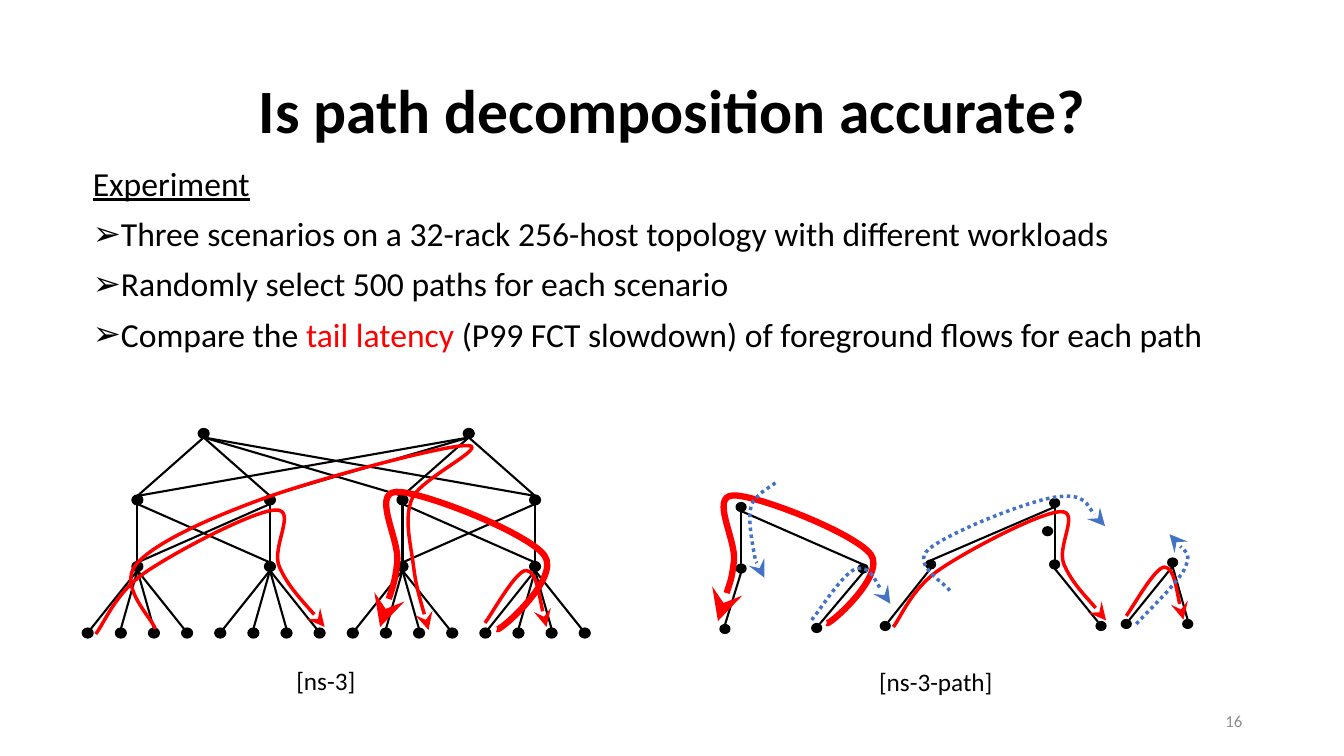
from dataclasses import dataclass

from lxml.etree import SubElement
from pptx import Presentation
from pptx.dml.color import RGBColor
from pptx.enum.dml import MSO_LINE
from pptx.enum.shapes import MSO_CONNECTOR, MSO_SHAPE
from pptx.enum.text import MSO_ANCHOR, MSO_AUTO_SIZE, PP_ALIGN
from pptx.oxml.ns import qn
from pptx.util import Inches, Pt


@dataclass(frozen=True)
class Theme:
    font: str = "Calibri"
    black: RGBColor = RGBColor(0, 0, 0)
    red: RGBColor = RGBColor(255, 0, 0)
    blue: RGBColor = RGBColor(0x44, 0x72, 0xC4)
    gray: RGBColor = RGBColor(0x8C, 0x8C, 0x8C)
    title_size: int = 44
    body_size: int = 24
    caption_size: int = 18
    number_size: int = 12
    link_width: float = 1.5
    flow_width: float = 2.5
    wide_flow_width: float = 4.5


theme = Theme()


def place(shape, left, top, width, height):
    shape.left, shape.top = Inches(left), Inches(top)
    shape.width, shape.height = Inches(width), Inches(height)


def style_run(run, size, color=theme.black):
    run.font.name = theme.font
    run.font.size = Pt(size)
    run.font.color.rgb = color


presentation = Presentation()
presentation.slide_width = Inches(13.33)
presentation.slide_height = Inches(7.5)
slide = presentation.slides.add_slide(presentation.slide_layouts[1])
shapes = slide.shapes

title = shapes.title
place(title, 0.92, 0.4, 11.5, 1.45)
title.text_frame.text = "Is path decomposition accurate?"
title.text_frame.vertical_anchor = MSO_ANCHOR.MIDDLE
title_paragraph = title.text_frame.paragraphs[0]
title_paragraph.alignment = PP_ALIGN.CENTER
title_paragraph.line_spacing = 0.9
style_run(title_paragraph.runs[0], theme.title_size)
title_paragraph.runs[0].font.bold = True

body = slide.placeholders[1]
place(body, 0.82, 1.61, 11.84, 3.03)
body.text_frame.auto_size = MSO_AUTO_SIZE.NONE
body.text_frame.vertical_anchor = MSO_ANCHOR.TOP
highlight = "tail latency "
body_lines = [
    ["Experiment"],
    ["Three scenarios on a 32-rack 256-host topology with different workloads"],
    ["Randomly select 500 paths for each scenario"],
    ["Compare the ", highlight, "(P99 FCT slowdown) of foreground flows for each path"],
]
for row, pieces in enumerate(body_lines):
    is_heading = row == 0
    paragraph = body.text_frame.paragraphs[0] if is_heading else body.text_frame.add_paragraph()
    paragraph.line_spacing = 0.9
    paragraph.space_before = Pt(10)
    for piece in pieces:
        run = paragraph.add_run()
        run.text = piece
        style_run(run, theme.body_size, theme.red if piece == highlight else theme.black)
        run.font.underline = is_heading
    properties = paragraph._p.get_or_add_pPr()
    indent = 0 if is_heading else Inches(0.25)
    properties.set("marL", str(indent))
    properties.set("indent", str(-indent))
    if is_heading:
        SubElement(properties, qn("a:buNone"))
    else:
        SubElement(properties, qn("a:buFont")).set("typeface", theme.font)
        SubElement(properties, qn("a:buChar")).set("char", "➢")

labels = [
    ("[ns-3]", 2.84, 6.55, 0.95, theme.caption_size, theme.black, PP_ALIGN.LEFT),
    ("[ns-3-path]", 8.62, 6.56, 1.37, theme.caption_size, theme.black, PP_ALIGN.LEFT),
    ("16", 9.42, 6.95, 3, theme.number_size, theme.gray, PP_ALIGN.RIGHT),
]
for text, left, top, width, size, color, alignment in labels:
    label = shapes.add_textbox(Inches(left), Inches(top), Inches(width), Inches(0.4))
    label.text_frame.word_wrap = True
    label.text_frame.vertical_anchor = MSO_ANCHOR.MIDDLE
    label.text_frame.text = text
    label.text_frame.paragraphs[0].alignment = alignment
    style_run(label.text_frame.paragraphs[0].runs[0], size, color)

tree_left, host_pitch, hosts_per_rack, racks_per_pod = 0.87, 4.93 / 15, 4, 2
spine_y, aggregate_y, rack_y, host_y = [4.3 + 0.66 * level for level in range(4)]
host_columns = [tree_left + host_pitch * column for column in range(16)]
rack_columns = [tree_left + host_pitch * (hosts_per_rack * rack + 1.5) for rack in range(4)]
spine_columns = [tree_left + host_pitch * column for column in (3.5, 11.5)]
tree_rows = [(spine_y, spine_columns), (aggregate_y, rack_columns),
             (rack_y, rack_columns), (host_y, host_columns)]
nodes = [(x, y, 0.1, 0.09) for y, columns in tree_rows for x in columns]

edge_inset = 0.03
links = []
for rack, rack_x in enumerate(rack_columns):
    pod_start = rack // racks_per_pod * racks_per_pod
    pod_racks = rack_columns[pod_start:pod_start + racks_per_pod]
    rack_hosts = host_columns[hosts_per_rack * rack:hosts_per_rack * (rack + 1)]
    links += [(spine_x, spine_y, rack_x, aggregate_y) for spine_x in spine_columns]
    links += [(rack_x, aggregate_y, peer_x, rack_y) for peer_x in pod_racks]
    links += [(rack_x, rack_y, host_x + inset, host_y)
              for host_x, inset in zip(rack_hosts, (edge_inset, 0, 0, -edge_inset))]

path_nodes = {
    "wide top": (7.35, 5.03), "wide left rack": (7.35, 5.64), "wide left host": (7.19, 6.24),
    "wide right rack": (8.56, 5.64), "wide right host": (8.1, 6.23),
    "pod top": (10.46, 4.99), "pod left rack": (9.23, 5.6), "pod left host": (8.78, 6.21),
    "pod right rack": (10.46, 5.6), "pod right host": (10.92, 6.21), "pod spare": (10.39, 5.27),
    "rack top": (11.63, 5.58), "rack left host": (11.17, 6.19), "rack right host": (11.78, 6.19),
}
path_links = [
    ("wide top", "wide left rack", 0), ("wide left rack", "wide left host", 0),
    ("wide top", "wide right rack", 0), ("wide right rack", "wide right host", edge_inset),
    ("pod top", "pod left rack", 0), ("pod left rack", "pod left host", edge_inset),
    ("pod top", "pod right rack", 0), ("pod right rack", "pod right host", -edge_inset),
    ("rack top", "rack left host", edge_inset), ("rack top", "rack right host", 0),
]
nodes += [(x, y, 0.09, 0.08) for x, y in path_nodes.values()]
for upper, lower, inset in path_links:
    lower_x, lower_y = path_nodes[lower]
    links.append((*path_nodes[upper], lower_x + inset, lower_y))

for x, y, width, height in nodes:
    node = shapes.add_shape(MSO_SHAPE.OVAL, Inches(x - width / 2), Inches(y - height / 2),
                            Inches(width), Inches(height))
    node.shadow.inherit = False
    node.fill.solid()
    node.fill.fore_color.rgb = theme.black
    node.line.color.rgb = theme.black
    node.line.width = Pt(theme.link_width)

for upper_x, upper_y, lower_x, lower_y in links:
    link = shapes.add_connector(MSO_CONNECTOR.STRAIGHT, Inches(upper_x), Inches(upper_y + 0.04),
                                Inches(lower_x), Inches(lower_y - 0.04))
    link.line.color.rgb = theme.black
    link.line.width = Pt(theme.link_width)
    SubElement(link._element.spPr, qn("a:effectLst"))

foreground = (theme.red, theme.flow_width, None)
wide = (theme.red, theme.wide_flow_width, None)
background = (theme.blue, theme.flow_width, MSO_LINE.ROUND_DOT)

pod_route = [(0.95, 6.29), (1.44, 5.68), (2.73, 5.06), (2.77, 5.62), (3.22, 6.22)]
spine_route = [(1.54, 6.24), (1.35, 5.6), (2.63, 4.94), (4.63, 4.42), (4.09, 4.94),
               (4.1, 5.61), (4.25, 6.25)]
rack_route = [(4.81, 6.18), (5.22, 5.66), (5.42, 6.22)]
wide_route = [(4.93, 6.24), (5.4, 5.51), (3.93, 4.88), (3.94, 5.58), (3.77, 6.22)]
wide_lead_in = (5.4, 5.21)

path_scale = 0.93
path_starts = [(wide_route, (8.2, 6.18)), (pod_route, (8.86, 6.22)), (rack_route, (11.17, 6.11))]
wide_path, pod_path, rack_path = [
    [(start_x + path_scale * (x - route[0][0]), start_y + path_scale * (y - route[0][1]))
     for x, y in route]
    for route, (start_x, start_y) in path_starts
]
wide_path_lead_in = (wide_path[1][0], wide_path[1][1] - 0.28)

flows = [
    (foreground, pod_route, pod_route[0]),
    (foreground, spine_route, spine_route[0]),
    (foreground, rack_route, rack_route[0]),
    (wide, wide_route, wide_lead_in),
    (wide, wide_path, wide_path_lead_in),
    (foreground, pod_path, pod_path[0]),
    (foreground, rack_path, rack_path[0]),
]
background_routes = [
    [(7.69, 4.79), (7.45, 5.02), (7.48, 5.49), (7.58, 5.73)],
    [(8.05, 6.15), (8.5, 5.64), (8.83, 5.99)],
    [(9.42, 5.86), (9.21, 5.45), (10.48, 4.93), (10.96, 5.22)],
    [(11.27, 6.19), (11.76, 5.62), (11.6, 5.3)],
]
flows += [(background, route, route[0]) for route in background_routes]

for (color, width, dash), route, lead_in in flows:
    neighbours = [lead_in, *route, route[-1]]
    tangents = [((after[0] - before[0]) / 6, (after[1] - before[1]) / 6)
                for before, after in zip(neighbours, neighbours[2:])]
    builder = shapes.build_freeform(Inches(route[0][0]), Inches(route[0][1]))
    for leg in range(len(route) - 1):
        (from_x, from_y), (to_x, to_y) = route[leg:leg + 2]
        (leave_x, leave_y), (arrive_x, arrive_y) = tangents[leg:leg + 2]
        controls = [(from_x + leave_x, from_y + leave_y), (to_x - arrive_x, to_y - arrive_y), (to_x, to_y)]
        builder.add_line_segments([(Inches(x), Inches(y)) for x, y in controls], close=False)
    flow = builder.convert_to_shape()
    flow.shadow.inherit = False
    flow.fill.background()
    flow.line.color.rgb = color
    flow.line.width = Pt(width)
    if dash:
        flow.line.dash_style = dash
    properties = flow._element.spPr
    arrowhead = SubElement(properties.find(qn("a:ln")), qn("a:tailEnd"))
    for name, value in (("type", "stealth"), ("w", "lg"), ("len", "lg")):
        arrowhead.set(name, value)
    outline = properties.find(".//" + qn("a:path"))
    segments = outline.findall(qn("a:lnTo"))
    for start in range(0, len(segments), 3):
        curve = SubElement(outline, qn("a:cubicBezTo"))
        for segment in segments[start:start + 3]:
            curve.append(segment[0])
            outline.remove(segment)

presentation.save("out.pptx")
